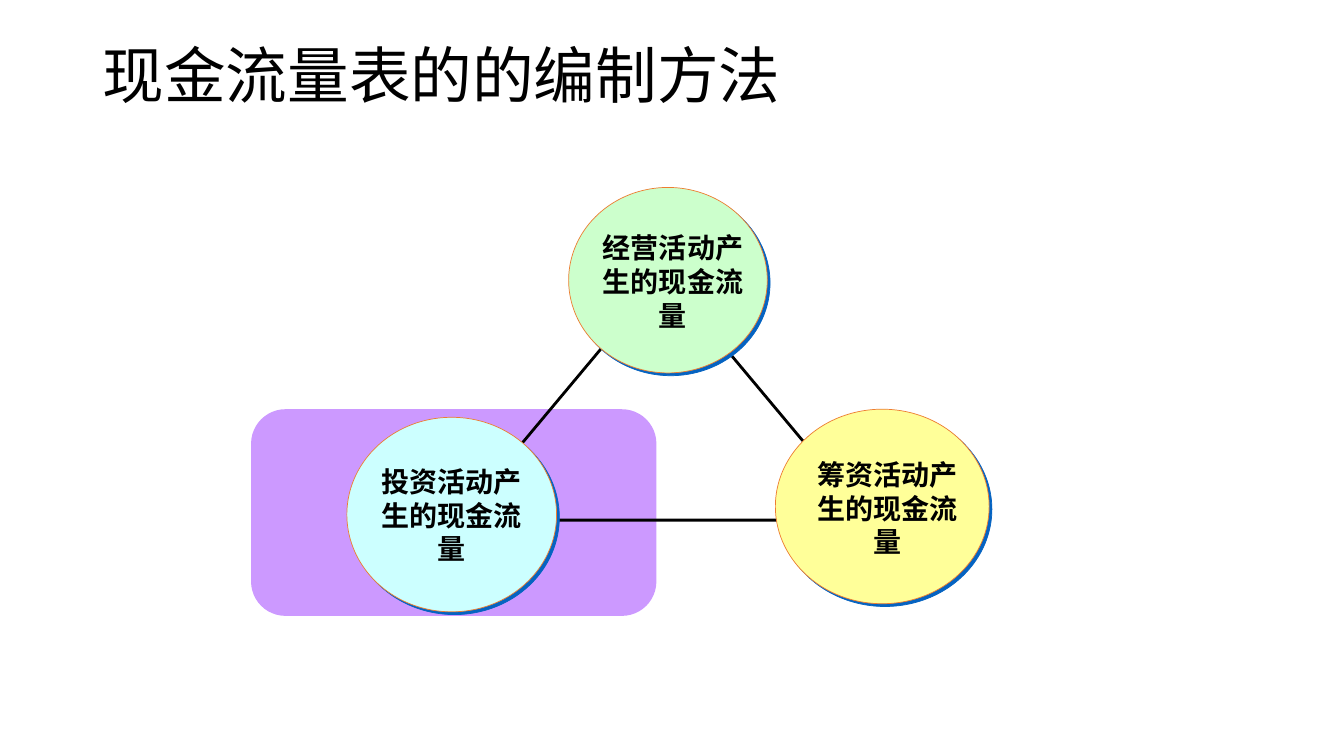
from lxml.etree import SubElement
from pptx import Presentation
from pptx.dml.color import RGBColor
from pptx.enum.shapes import MSO_SHAPE
from pptx.enum.text import MSO_ANCHOR, MSO_AUTO_SIZE, PP_ALIGN
from pptx.oxml.ns import qn
from pptx.util import Inches, Pt

BLACK = RGBColor(0x00, 0x00, 0x00)
ORANGE = RGBColor(0xED, 0x7D, 0x31)
PURPLE = RGBColor(0xCC, 0x99, 0xFF)
GREEN = RGBColor(0xCC, 0xFF, 0xCC)
CYAN = RGBColor(0xCC, 0xFF, 0xFF)
YELLOW = RGBColor(0xFF, 0xFF, 0x99)
SHADOW_BLUE = RGBColor(0x05, 0x63, 0xC1)
CHINESE_FONT = "Noto Sans CJK SC"

ACTIVITIES = [
    ("经营活动产生的现金流量", GREEN, (3.15, 0, 1.97, 1.84), (0.24, 0.43)),
    ("投资活动产生的现金流量", CYAN, (0.95, 2.28, 2.08, 1.93), (0.24, 0.47)),
    ("筹资活动产生的现金流量", YELLOW, (5.2, 2.2, 2.12, 1.93), (0.32, 0.48)),
]


def add_text(page, box, text, size, font, bold=False, align=PP_ALIGN.LEFT,
             anchor=MSO_ANCHOR.TOP, spacing=1.0, margins=None, grow=False):
    """Add a wrapped text box in the given box, measured in inches."""
    frame = page.shapes.add_textbox(*map(Inches, box)).text_frame
    frame.word_wrap = True
    frame.vertical_anchor = anchor
    frame.auto_size = MSO_AUTO_SIZE.SHAPE_TO_FIT_TEXT if grow else MSO_AUTO_SIZE.NONE
    if margins is not None:
        frame.margin_left = frame.margin_right = Inches(margins)
        frame.margin_top = frame.margin_bottom = Inches(margins)
    para = frame.paragraphs[0]
    para.alignment = align
    para.line_spacing = spacing
    span = para.add_run()
    span.text = text
    span.font.size = Pt(size)
    span.font.bold = bold
    span.font.name = font
    span.font.color.rgb = BLACK
    SubElement(span.font._element, qn("a:ea"), typeface=CHINESE_FONT)


def add_figure(page, kind, box, fill=None, line=None, width=0):
    """Add a preset shape without a shadow, with optional fill and line."""
    shape = page.shapes.add_shape(kind, *map(Inches, box))
    shape.shadow.inherit = False
    if fill is None:
        shape.fill.background()
    else:
        shape.fill.solid()
        shape.fill.fore_color.rgb = fill
    if line is None:
        shape.line.fill.background()
    else:
        shape.line.color.rgb = line
        shape.line.width = Pt(width)
    return shape


def cast_shadow(shape):
    """Give the shape a sharp blue shadow towards the lower right."""
    effects = shape._element.spPr.find(qn("a:effectLst"))
    shadow = SubElement(effects, qn("a:outerShdw"), blurRad="0", dist=str(int(Pt(2.8))),
                        dir=str(45 * 60000), algn="ctr", rotWithShape="0")
    SubElement(shadow, qn("a:srgbClr"), val=str(SHADOW_BLUE))


def add_title(page, box):
    """Place the slide heading."""
    add_text(page, box, "现金流量表的的编制方法", 44, CHINESE_FONT, spacing=0.9)


def add_cash_flow_diagram(page, left, top):
    """Place the triangle of three activities from its upper left corner."""
    add_figure(page, MSO_SHAPE.ROUNDED_RECTANGLE, (left, top + 2.2, 4.02, 2.05), PURPLE)
    add_figure(page, MSO_SHAPE.ISOSCELES_TRIANGLE, (left + 2.05, top + 0.86, 4.08, 2.44),
               line=BLACK, width=2)
    for text, fill, (x, y, width, height), (label_x, label_y) in ACTIVITIES:
        x, y = left + x, top + y
        circle = add_figure(page, MSO_SHAPE.OVAL, (x, y, width, height), fill, ORANGE, 0.5)
        cast_shadow(circle)
        add_text(page, (x + label_x, y + label_y, 1.59, 1), text, 20, "Arial", bold=True,
                 align=PP_ALIGN.CENTER, anchor=MSO_ANCHOR.MIDDLE, margins=0, grow=True)


def main():
    """Build the slide and save it."""
    deck = Presentation()
    deck.slide_width, deck.slide_height = Inches(13.33), Inches(7.5)
    page = deck.slides.add_slide(deck.slide_layouts[6])
    add_title(page, (0.92, 0.4, 11.5, 1.45))
    add_cash_flow_diagram(page, 2.49, 1.86)
    deck.save("out.pptx")


if __name__ == "__main__":
    main()
